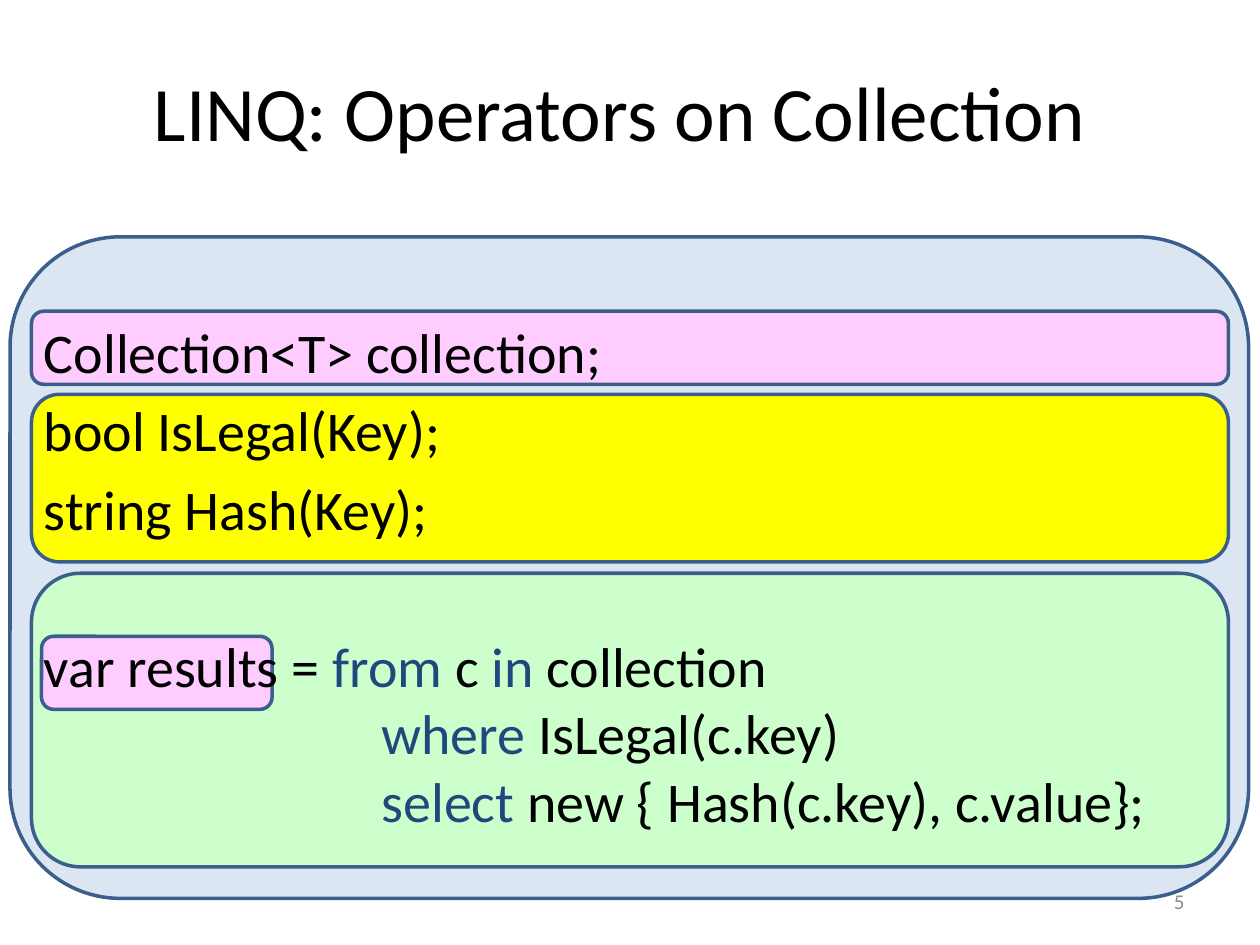
from pptx import Presentation
from pptx.dml.color import RGBColor as RGB
from pptx.enum.shapes import MSO_SHAPE as Shape
from pptx.enum.text import MSO_ANCHOR as Anchor, PP_ALIGN as Align
from pptx.util import Inches, Pt

BLACK = RGB(0x00, 0x00, 0x00)
GRAY = RGB(0x8C, 0x8C, 0x8C)
NAVY = RGB(0x1F, 0x49, 0x7D)
EDGE = RGB(0x3A, 0x5F, 0x8C)
BLUE = RGB(0xDC, 0xE6, 0xF2)
GREEN = RGB(0xCC, 0xFF, 0xCC)
PINK = RGB(0xFF, 0xCC, 0xFF)
YELLOW = RGB(0xFF, 0xFF, 0x00)

PANELS = [
    (0.08, 1.88, 9.83, 5.25, BLUE),
    (0.25, 4.55, 9.5, 2.33, GREEN),
    (0.33, 5.05, 1.83, 0.58, PINK),
    (0.25, 2.47, 9.5, 0.58, PINK),
    (0.25, 3.13, 9.5, 1.33, YELLOW),
]
WORDS = {"from", "in", "where", "select"}
CODE = [
    (["Collection<T> collection;"], 0, 0),
    (["bool IsLegal(Key);"], 6.4, 0),
    (["string Hash(Key);"], 6.4, 0),
    (["var results = ", "from", " c ", "in", " collection"], 51.5, 0),
    (["where", " IsLegal(c.key)"], 0, 2.68),
    (["select", " new { Hash(c.key), c.value};"], 0, 2.68),
]


class Deck:
    """Hold the style and the current slide, and draw each kind of element."""

    def __init__(self):
        self.file = Presentation()
        self.file.slide_width = Inches(10)
        self.file.slide_height = Inches(7.5)
        self.slide = self.file.slides.add_slide(self.file.slide_layouts[5])
        self.font = {"name": "Calibri", "bold": False}

    def style(self, font, size, color):
        for key, val in {**self.font, "size": Pt(size)}.items():
            setattr(font, key, val)
        font.color.rgb = color

    def line(self, para, runs, size, color, align=Align.LEFT):
        para.alignment = align
        for text in runs:
            run = para.add_run()
            run.text = text
            self.style(run.font, size, NAVY if text in WORDS else color)

    def title(self, box, text):
        head = self.slide.shapes.title
        for key, val in zip(("left", "top", "width", "height"), box):
            setattr(head, key, Inches(val))
        head.text_frame.vertical_anchor = Anchor.MIDDLE
        self.line(head.text_frame.paragraphs[0], [text], 44, BLACK, Align.CENTER)

    def panel(self, *box, fill):
        panel = self.slide.shapes.add_shape(
            Shape.ROUNDED_RECTANGLE, *map(Inches, box))
        panel.shadow.inherit = False
        panel.fill.solid()
        panel.fill.fore_color.rgb = fill
        panel.line.color.rgb = EDGE
        panel.line.width = Pt(2)

    def frame(self, box, anchor=Anchor.TOP):
        frame = self.slide.shapes.add_textbox(*map(Inches, box)).text_frame
        frame.word_wrap = True
        frame.vertical_anchor = anchor
        return frame

    def number(self, box, text):
        frame = self.frame(box, Anchor.MIDDLE)
        self.line(frame.paragraphs[0], [text], 12, GRAY, Align.RIGHT)

    def code(self, box, lines):
        frame = self.frame(box)
        for i, (runs, gap, inset) in enumerate(lines):
            para = frame.add_paragraph() if i else frame.paragraphs[0]
            para.space_before = Pt(gap)
            if inset:
                para._p.get_or_add_pPr().set("marL", str(Inches(inset)))
            self.line(para, runs, 32, BLACK)


def main():
    deck = Deck()
    deck.title((0.42, 0.25, 9, 1.25), "LINQ: Operators on Collection")
    for *box, fill in PANELS:
        deck.panel(*box, fill=fill)
    deck.number((7.17, 6.95, 2.33, 0.4), "5")
    deck.code((0.25, 2.47, 9.5, 4.95), CODE)
    deck.file.save("out.pptx")


if __name__ == "__main__":
    main()
